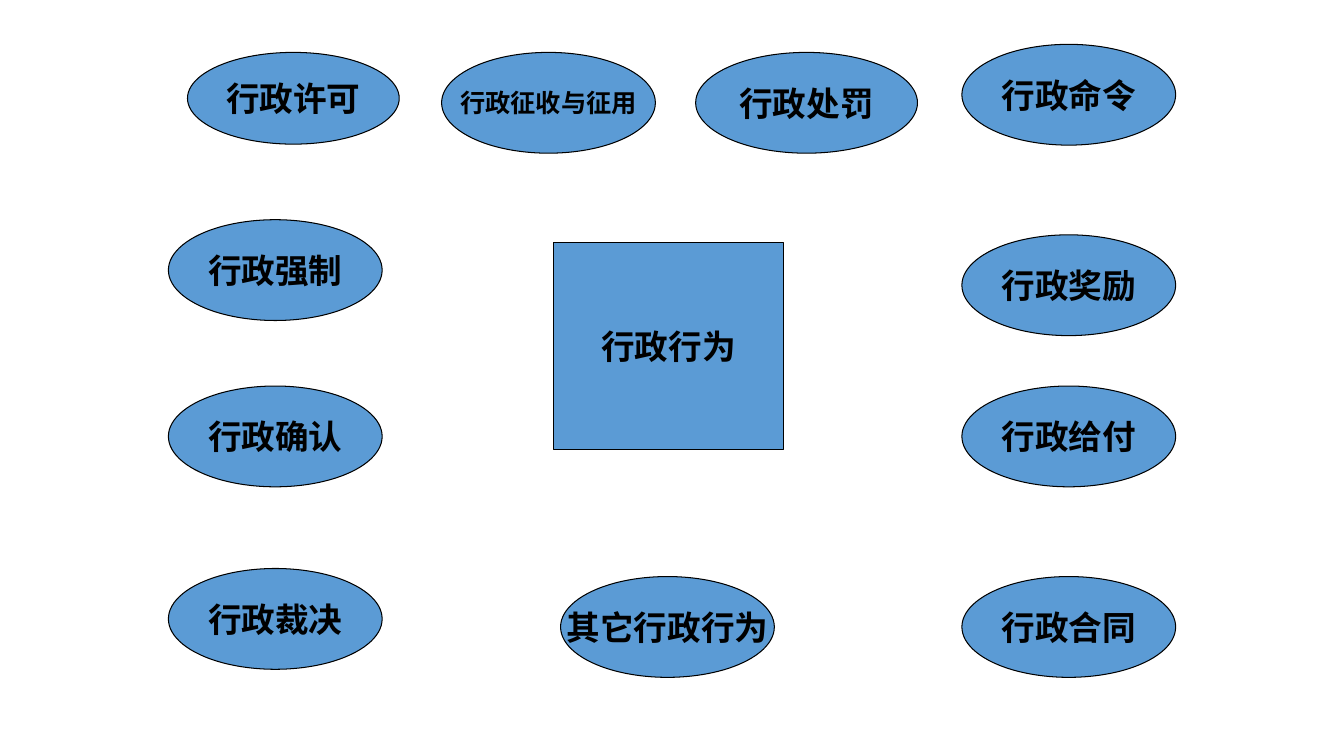
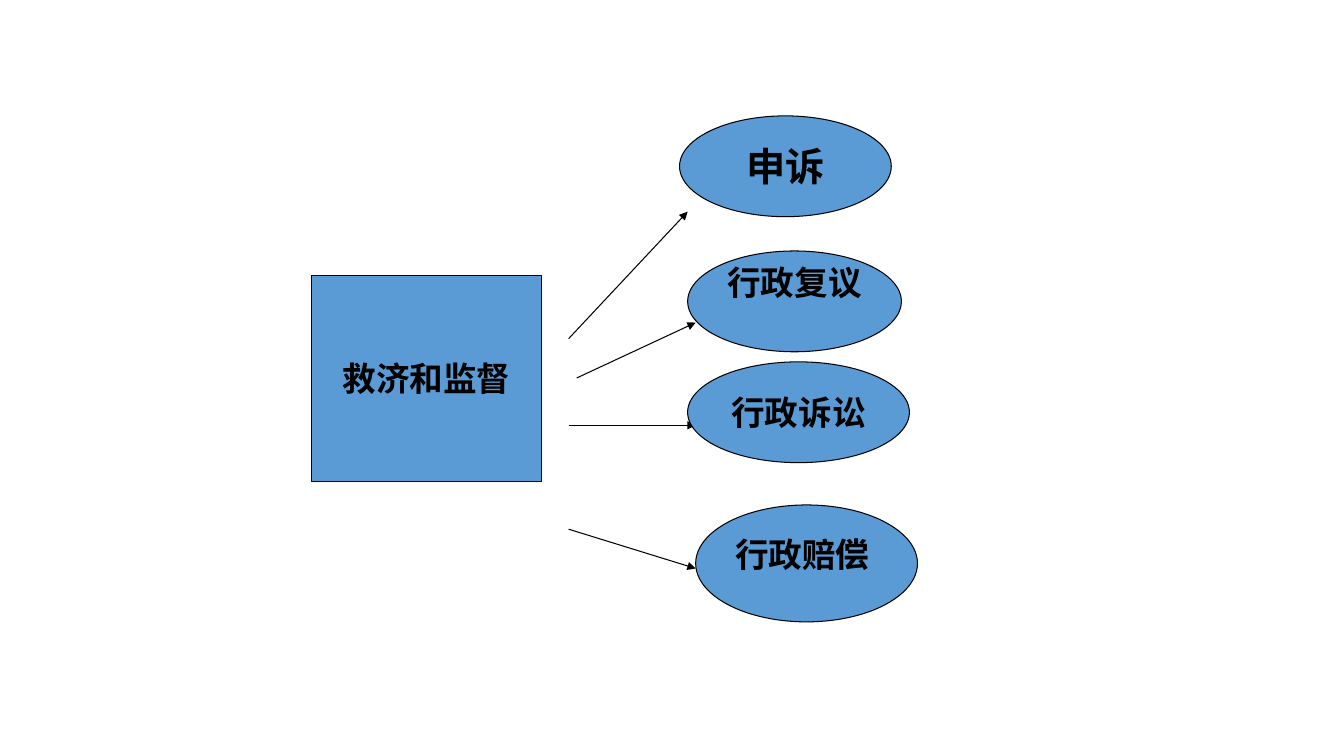
import pptx
import pptx.util
import pptx.dml.color
import pptx.enum.shapes
import pptx.enum.text
import pptx.oxml
import pptx.oxml.ns
import lxml.etree

Inches = pptx.util.Inches
KIND = pptx.enum.shapes.MSO_SHAPE
ALIGN = pptx.enum.text.PP_ALIGN
MIDDLE = pptx.enum.text.MSO_ANCHOR.MIDDLE

BLUE, BLACK = "5B9BD5", "000000"
SERIF, SANS = "Times New Roman", "Arial"
BOX = (2.28, 2.05)
OVAL = (2.12, 1)

# Slide 1: the topic and the acts around it
TOPIC = ("行政行为", 5.49, 2.41)
TOP_ROW = [  # text, left, width, height, points
    ("行政许可", 1.86, 2.1, 0.91, 24),
    ("行政征收与征用", 4.38, 2.12, 1, 18),
    ("行政处罚", 6.9, 2.2, 1, 24),
]
TOP = 0.52
COLUMNS = [  # left, then (text, top) downwards
    (1.67, [("行政强制", 2.18), ("行政确认", 3.83), ("行政裁决", 5.64)]),
    (5.56, [("其它行政行为", 5.72)]),
    (9.54, [("行政命令", 0.44), ("行政奖励", 2.33),
            ("行政给付", 3.83), ("行政合同", 5.72)]),
]

# Slide 2: the remedies
REMEDY = ("救济和监督", 3.09, 2.73)
WAYS = [  # text, place, points, font, bottom inset
    ("申诉", (6.74, 1.15, 2.1, 1), 28, SERIF, 0.05),
    ("行政复议", (6.82, 2.49, *OVAL), 24, SANS, 0.43),
    ("行政诉讼", (6.82, 3.59, 2.2, 1), 24, SANS, 0.05),
    ("", (6.9, 5.01, 2.2, 1.16), 24, SANS, 0.05),
]
CLAIM = ("行政赔偿", (6.9, 5.25, 2.05, 0.5))
ARROWS = [  # from x, y, to x, y
    (5.64, 3.36, 6.82, 2.1),
    (5.72, 3.75, 6.9, 3.2),
    (5.64, 4.22, 6.9, 4.22),
    (5.64, 5.25, 6.9, 5.64),
]


def color(code):
    return pptx.dml.color.RGBColor.from_string(code)


def pen(line):
    line.color.rgb = color(BLACK)
    line.width = pptx.util.Pt(0.75)


def write(frame, text, size, font, align):
    para = frame.paragraphs[0]
    para.alignment = align
    run = para.add_run()
    run.text = text
    run.font.size = pptx.util.Pt(size)
    run.font.name = font
    run.font.bold = True
    run.font.color.rgb = color(BLACK)


def node(slide, kind, text, place, size=24, font=SANS, inset=0.05):
    shape = slide.shapes.add_shape(kind, *map(Inches, place))
    shape.shadow.inherit = False
    shape.fill.solid()
    shape.fill.fore_color.rgb = color(BLUE)
    pen(shape.line)
    if text:
        frame = shape.text_frame
        frame.word_wrap = False
        frame.vertical_anchor = MIDDLE
        frame.margin_bottom = Inches(inset)
        write(frame, text, size, font, ALIGN.CENTER)


def center(slide, text, left, top):
    node(slide, KIND.RECTANGLE, text, (left, top, *BOX), font=SERIF)


def arrow(slide, ends):
    kind = pptx.enum.shapes.MSO_CONNECTOR.STRAIGHT
    link = slide.shapes.add_connector(kind, *map(Inches, ends))
    pen(link.line)
    qn = pptx.oxml.ns.qn
    tail = lxml.etree.SubElement(link.line._get_or_add_ln(), qn("a:tailEnd"))
    tail.set("type", "triangle")
    props = link._element.spPr
    lxml.etree.SubElement(props, qn("a:effectLst"))


def acts(slide):
    center(slide, *TOPIC)
    for text, left, width, height, size in TOP_ROW:
        place = (left, TOP, width, height)
        node(slide, KIND.OVAL, text, place, size, SERIF)
    for left, items in COLUMNS:
        for text, top in items:
            node(slide, KIND.OVAL, text, (left, top, *OVAL))


def relief(slide):
    center(slide, *REMEDY)
    for ends in ARROWS:
        arrow(slide, ends)
    for way in WAYS:
        node(slide, KIND.OVAL, *way)
    # Label laid over the last oval
    text, place = CLAIM
    frame = slide.shapes.add_textbox(*map(Inches, place)).text_frame
    frame.word_wrap = True
    frame.margin_left = Inches(0.39)
    write(frame, text, 24, SANS, ALIGN.LEFT)


def main():
    deck = pptx.Presentation()
    deck.slide_width, deck.slide_height = Inches(13.33), Inches(7.5)
    for build in (acts, relief):
        build(deck.slides.add_slide(deck.slide_layouts[6]))
    deck.save("out.pptx")


if __name__ == "__main__":
    main()
